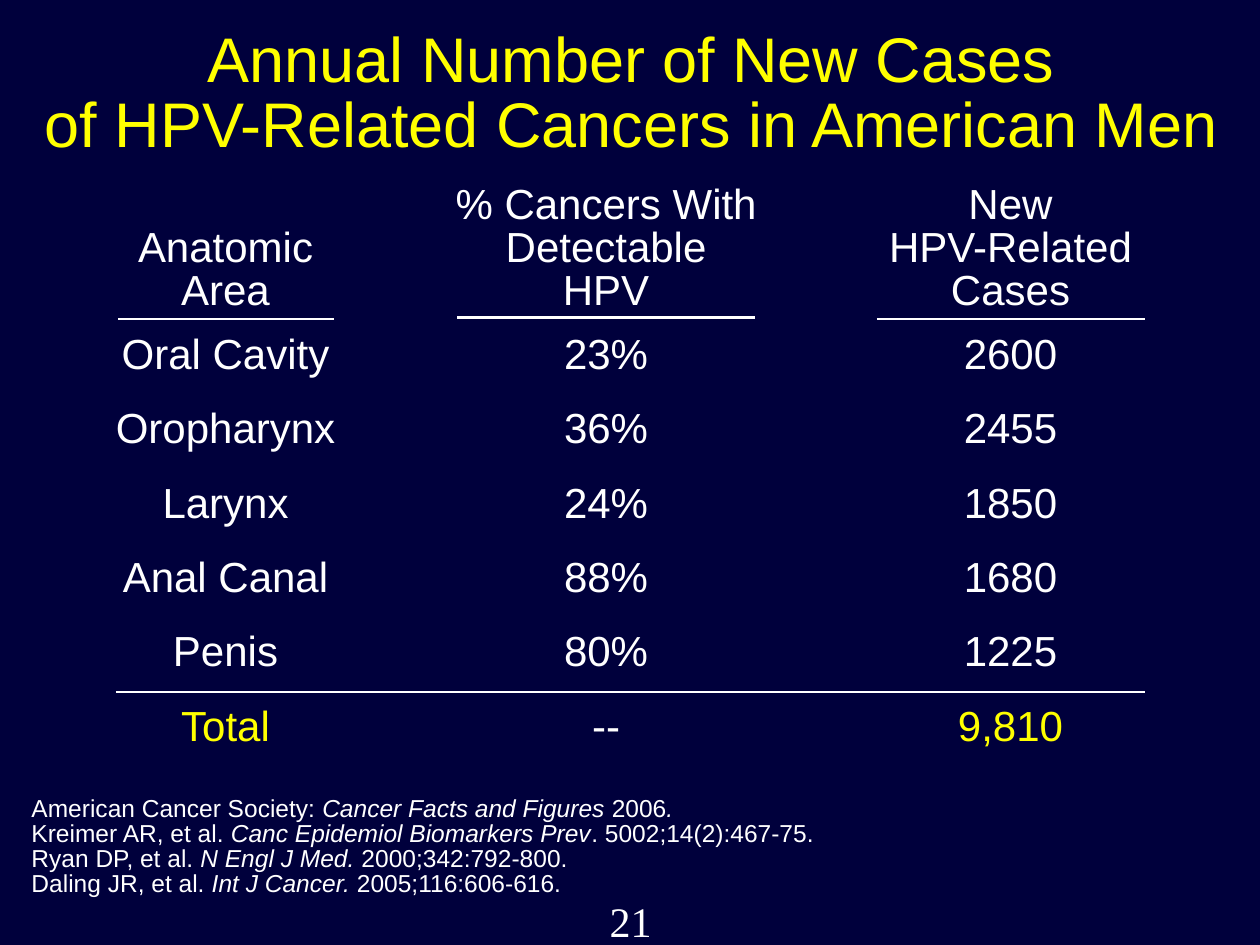
"""Build a slide on new cases of HPV-related cancers in American men."""
from pptx import Presentation
from pptx.dml.color import RGBColor
from pptx.enum.shapes import MSO_CONNECTOR
from pptx.enum.text import MSO_ANCHOR, PP_ALIGN
from pptx.oxml.ns import qn
from pptx.util import Inches, Pt
from lxml.etree import SubElement

NAVY = RGBColor(0x00, 0x00, 0x3C)
WHITE = RGBColor(0xFF, 0xFF, 0xFF)
YELLOW = RGBColor(0xFF, 0xFF, 0x00)

deck = Presentation()
deck.slide_width, deck.slide_height = Inches(10), Inches(7.5)
slide = deck.slides.add_slide(deck.slide_layouts[6])
slide.background.fill.solid()
slide.background.fill.fore_color.rgb = NAVY


def add_text(left, top, width, height, paras, size, align=PP_ALIGN.CENTER,
             face="Arial", gap=0, space=0.85, wrap=False):
    box = slide.shapes.add_textbox(Inches(left), Inches(top), Inches(width), Inches(height))
    frame = box.text_frame
    frame.word_wrap = wrap
    frame.vertical_anchor = MSO_ANCHOR.TOP
    frame.margin_left = frame.margin_right = frame.margin_top = frame.margin_bottom = 0
    for row, runs in enumerate(paras):
        para = frame.paragraphs[0] if row == 0 else frame.add_paragraph()
        para.alignment = align
        para.line_spacing = space
        para.space_before = Pt(gap if row else 0)
        for words, color, slant in runs:
            for part, line in enumerate(words.split("\n")):
                if part:
                    para.add_line_break()
                run = para.add_run()
                run.text = line
                run.font.name = face
                run.font.size = Pt(size)
                run.font.italic = slant
                run.font.color.rgb = color


def add_rule(left, right, top):
    rule = slide.shapes.add_connector(
        MSO_CONNECTOR.STRAIGHT, Inches(left), Inches(top), Inches(right), Inches(top))
    rule.line.color.rgb = WHITE
    rule.line.width = Pt(1.25)
    SubElement(rule._element.spPr, qn("a:effectLst"))


title = "Annual Number of New Cases\nof HPV-Related Cancers in American Men"
add_text(0.26, 0.25, 9.5, 0.78, [[(title, YELLOW, False)]], 36, wrap=True)

columns = [
    ("Anatomic\nArea", 1.79, 1.44, 1.84, (0.94, 2.65, 2.53), YELLOW,
     ["Oral Cavity", "Oropharynx", "Larynx", "Anal Canal", "Penis", "Total"]),
    ("% Cancers With\nDetectable\nHPV", 4.81, 2.58, 0.72, (3.63, 5.99, 2.52), WHITE,
     ["23%", "36%", "24%", "88%", "80%", "--"]),
    ("New\nHPV-Related\nCases", 8.02, 2, 0.9, (6.96, 9.09, 2.53), YELLOW,
     ["2600", "2455", "1850", "1680", "1225", "9,810"]),
]
for head, mid, wide, slim, rule, last, cells in columns:
    tall = 0.34 * len(head.split("\n"))
    add_text(mid - wide / 2, 2.49 - tall, wide, tall, [[(head, WHITE, False)]], 24)
    add_rule(*rule)
    body = [[(cell, WHITE, False)] for cell in cells[:-1]]
    body.append([(cells[-1], last, False)])
    add_text(mid - slim / 2, 2.66, slim, 3.29, body, 24, gap=18)
add_rule(0.92, 9.09, 5.49)

sources = [
    ["American Cancer Society: ", "Cancer Facts and Figures ", "2006", "."],
    ["Kreimer AR, et al. ", "Canc Epidemiol Biomarkers Prev", ". 5002;14(2):467-75."],
    ["Ryan DP, et al. ", "N Engl J Med.", " 2000;342:792-800."],
    ["Daling JR, et al. ", "Int J Cancer.", " 2005;116:606-616."],
]
notes = [[(part, WHITE, spot % 2 == 1) for spot, part in enumerate(parts)]
         for parts in sources]
add_text(0.25, 6.33, 6.3, 0.79, notes, 14, PP_ALIGN.LEFT)
add_text(4.41, 7.11, 1.19, 0.4, [[("21", WHITE, False)]], 24,
         face="Times New Roman", space=1, wrap=True)

deck.save("out.pptx")
